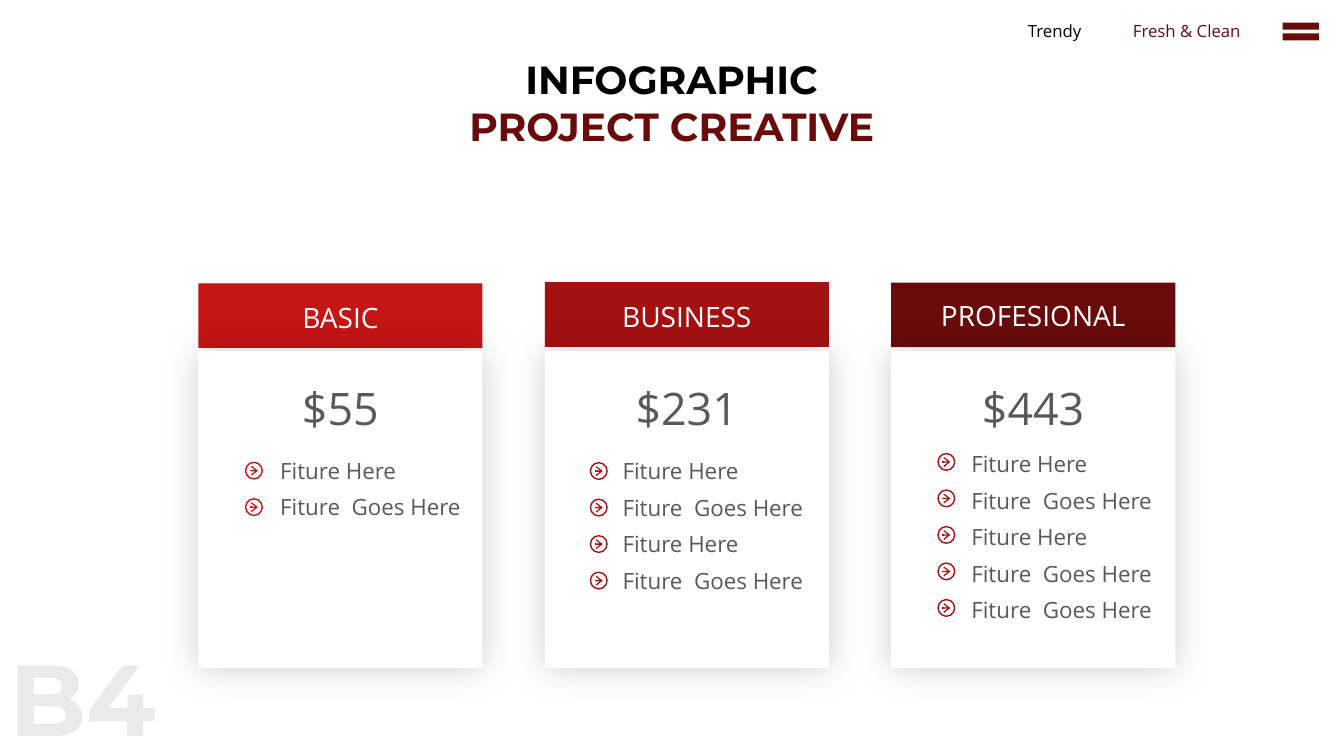
from collections import namedtuple

from lxml.etree import SubElement
from pptx import Presentation
from pptx.dml.color import RGBColor
from pptx.enum.shapes import MSO_CONNECTOR, MSO_SHAPE
from pptx.enum.text import MSO_ANCHOR, MSO_AUTO_SIZE, PP_ALIGN
from pptx.oxml.ns import qn
from pptx.util import Cm, Pt

BLACK = RGBColor(0x00, 0x00, 0x00)
WHITE = RGBColor(0xFF, 0xFF, 0xFF)
GREY = RGBColor(0x59, 0x59, 0x59)
PALE = RGBColor(0xEA, 0xEA, 0xEA)
RED = RGBColor(0xC5, 0x15, 0x15)
CRIMSON = RGBColor(0xA3, 0x11, 0x11)
MAROON = RGBColor(0x69, 0x0B, 0x0B)

BODY_FONT = "Open Sans"
HEAD_FONT = "Montserrat"

CARD_LEFT, CARD_STEP, CARD_WIDTH = 5.0, 8.73, 7.16
HEADER_HEIGHT = 1.63
BODY_TOP, BODY_HEIGHT = 8.84, 8.0
FEATURE_STEP = 0.92
RING_SIZE, RING_INSET, ARROW_INSET = 0.42, 0.02, 0.11
SHORT, LONG = "Fiture Here", "Fiture  Goes Here"
FEATURE_WIDTHS = {SHORT: 3.48, LONG: 5.13}

Plan = namedtuple(
    "Plan",
    "name name_top name_width price price_width header_top header_color "
    "icon_color icon_left icon_top feature_left feature_top features",
)
PLANS = [
    Plan("BASIC", 7.44, 2.46, "$55", 2.46, 7.14, RED,
         RED, 6.17, 11.63, 6.81, 11.39, [SHORT, LONG]),
    Plan("BUSINESS", 7.42, 3.81, "$231", 3.12, 7.11, CRIMSON,
         CRIMSON, 14.86, 11.64, 15.44, 11.4, [SHORT, LONG, SHORT, LONG]),
    Plan("PROFESIONAL", 7.39, 5.21, "$443", 3.12, 7.12, MAROON,
         CRIMSON, 23.62, 11.41, 24.23, 11.22, [SHORT, LONG, SHORT, LONG, LONG]),
]


def add_run(paragraph, text, size, color, font=BODY_FONT, bold=False):
    run = paragraph.add_run()
    run.text = text
    run.font.name = font
    run.font.size = Pt(size)
    run.font.bold = bold
    run.font.color.rgb = color


def add_label(slide, text, left, top, width, height, size, color,
              align=PP_ALIGN.CENTER, wrap=True):
    label = slide.shapes.add_textbox(Cm(left), Cm(top), Cm(width), Cm(height))
    frame = label.text_frame
    frame.word_wrap = wrap
    frame.auto_size = MSO_AUTO_SIZE.SHAPE_TO_FIT_TEXT
    frame.paragraphs[0].alignment = align
    add_run(frame.paragraphs[0], text, size, color)


def add_block(slide, left, top, width, height, color, kind=MSO_SHAPE.RECTANGLE):
    block = slide.shapes.add_shape(kind, Cm(left), Cm(top), Cm(width), Cm(height))
    block.shadow.inherit = False
    block.fill.solid()
    block.fill.fore_color.rgb = color
    block.line.fill.background()
    return block


def add_soft_shadow(shape):
    effects = shape._element.spPr.find(qn("a:effectLst"))
    glow = SubElement(effects, qn("a:outerShdw"), blurRad=str(Pt(26)), dist="0",
                      dir="0", algn="ctr", rotWithShape="0")
    shade = SubElement(glow, qn("a:srgbClr"), val="000000")
    SubElement(shade, qn("a:alpha"), val="18000")


def add_arrow_icon(slide, left, top, color):
    size = Cm(RING_SIZE)
    ring = slide.shapes.add_shape(MSO_SHAPE.OVAL, Cm(left + RING_INSET),
                                  Cm(top + RING_INSET), size, size)
    ring.shadow.inherit = False
    ring.fill.background()
    ring.line.color.rgb = color
    ring.line.width = Pt(1)
    middle = Cm(top + RING_INSET + RING_SIZE / 2)
    start = left + RING_INSET + ARROW_INSET
    arrow = slide.shapes.add_connector(
        MSO_CONNECTOR.STRAIGHT, Cm(start), middle,
        Cm(start + RING_SIZE - 2 * ARROW_INSET), middle)
    arrow.line.color.rgb = color
    arrow.line.width = Pt(1)
    SubElement(arrow.line._get_or_add_ln(), qn("a:tailEnd"),
               type="arrow", w="med", len="sm")
    SubElement(arrow._element.spPr, qn("a:effectLst"))


def add_plan(slide, plan, left):
    center = left + CARD_WIDTH / 2
    add_block(slide, left, plan.header_top, CARD_WIDTH, HEADER_HEIGHT, plan.header_color)
    add_soft_shadow(add_block(slide, left, BODY_TOP, CARD_WIDTH, BODY_HEIGHT, WHITE))
    add_label(slide, plan.name, center - plan.name_width / 2, plan.name_top,
              plan.name_width, 1.12, 20, WHITE)
    add_label(slide, plan.price, center - plan.price_width / 2, 9.47,
              plan.price_width, 1.63, 32, GREY)
    for row, feature in enumerate(plan.features):
        drop = row * FEATURE_STEP
        add_label(slide, feature, plan.feature_left, plan.feature_top + drop,
                  FEATURE_WIDTHS[feature], 0.94, 16, GREY, PP_ALIGN.LEFT)
        add_arrow_icon(slide, plan.icon_left, plan.icon_top + drop, plan.icon_color)


def add_title(slide):
    title = slide.shapes.title
    title.left, title.top, title.width, title.height = Cm(11.25), Cm(1.27), Cm(11.35), Cm(2.64)
    frame = title.text_frame
    frame.word_wrap = True
    frame.auto_size = MSO_AUTO_SIZE.NONE
    frame.vertical_anchor = MSO_ANCHOR.TOP
    heading = frame.paragraphs[0]
    heading.alignment = PP_ALIGN.CENTER
    add_run(heading, "INFOGRAPHIC ", 28, BLACK, HEAD_FONT, True)
    add_run(heading, "PROJECT CREATIVE", 28, MAROON, HEAD_FONT, True)


def add_page_mark(slide):
    mark = slide.shapes.add_textbox(Cm(0.25), Cm(16.03), Cm(4.2), Cm(3))
    frame = mark.text_frame
    frame.word_wrap = False
    frame.margin_left = frame.margin_top = frame.margin_right = frame.margin_bottom = 0
    add_run(frame.paragraphs[0], "B4", 72, PALE, HEAD_FONT, True)


def main():
    deck = Presentation()
    deck.slide_width, deck.slide_height = Cm(33.87), Cm(19.05)
    slide = deck.slides.add_slide(deck.slide_layouts.get_by_name("Title Only"))
    add_page_mark(slide)
    add_title(slide)
    for column, plan in enumerate(PLANS):
        add_plan(slide, plan, CARD_LEFT + column * CARD_STEP)
    add_label(slide, "Trendy", 25.63, 0.41, 1.9, 0.77, 12, BLACK, wrap=False)
    add_label(slide, "Fresh & Clean", 28.27, 0.41, 3.28, 0.77, 12, MAROON, wrap=False)
    add_block(slide, 32.16, 0.41, 1.24, 0.77, MAROON, MSO_SHAPE.MATH_EQUAL)
    deck.save("out.pptx")


if __name__ == "__main__":
    main()
